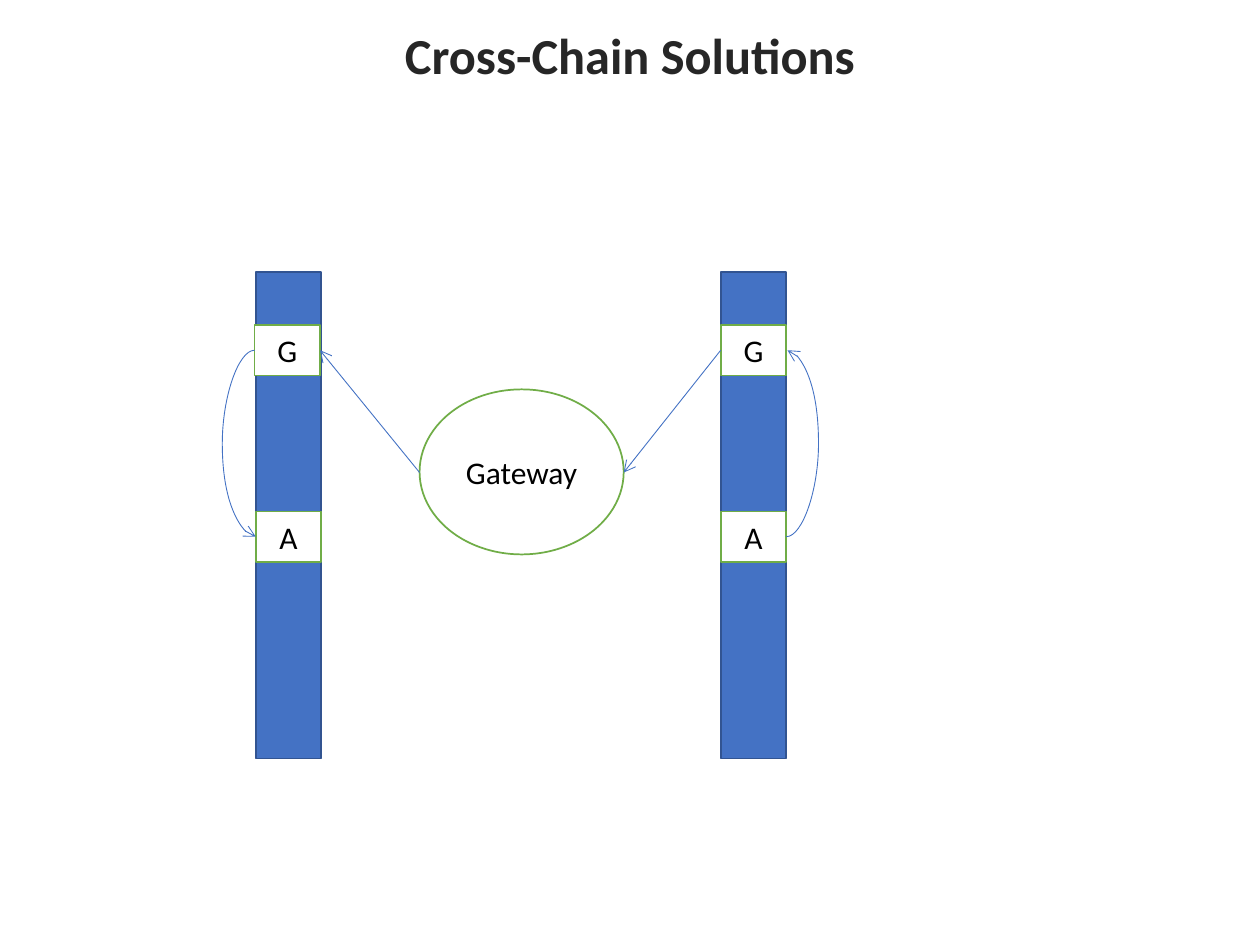
from typing import NamedTuple, Optional

from lxml import etree
from pptx import Presentation
from pptx import util as u
from pptx.dml.color import RGBColor
from pptx.enum import shapes, text
from pptx.oxml import ns

BLUE, DARK_BLUE, GREEN = "4472C4", "325491", "70AD47"
WHITE, BLACK, TITLE_GREY = "FFFFFF", "000000", "262626"
FONT = "Calibri"

BLOCK_WIDTH, BLOCK_HEIGHT = 0.52, 0.4
LEFT_CHAIN, RIGHT_CHAIN = 2.03, 5.72
GATEWAY_ROW, ACCOUNT_ROW = 2.58, 4.06
GATEWAY_MIDDLE = GATEWAY_ROW + BLOCK_HEIGHT / 2
ACCOUNT_MIDDLE = ACCOUNT_ROW + BLOCK_HEIGHT / 2


class Node(NamedTuple):
    left: float
    top: float
    width: float
    height: float
    label: str = ""
    fill: str = WHITE
    line: str = GREEN
    kind: shapes.MSO_SHAPE = shapes.MSO_SHAPE.RECTANGLE


class Arrow(NamedTuple):
    start: tuple[float, float]
    end: tuple[float, float]
    bulge: Optional[float] = None  # sideways reach of a curve from its start


def color(value: str) -> RGBColor:
    return RGBColor.from_string(value)


def write(frame, content: str, size: float, ink: str, bold: bool = False) -> None:
    frame.word_wrap = True
    frame.vertical_anchor = text.MSO_ANCHOR.MIDDLE
    para = frame.paragraphs[0]
    para.alignment = text.PP_ALIGN.CENTER
    span = para.add_run()
    span.text = content
    span.font.name = FONT
    span.font.size = u.Pt(size)
    span.font.bold = bold
    span.font.color.rgb = color(ink)


def draw_node(page, node: Node) -> None:
    box = page.shapes.add_shape(
        node.kind, *map(u.Inches, (node.left, node.top, node.width, node.height)))
    box.shadow.inherit = False
    box.fill.solid()
    box.fill.fore_color.rgb = color(node.fill)
    box.line.color.rgb = color(node.line)
    box.line.width = u.Pt(1)
    if node.label:
        write(box.text_frame, node.label, 18, BLACK)


def draw_arrow(page, arrow: Arrow) -> None:
    curved = arrow.bulge is not None
    kind = shapes.MSO_CONNECTOR.CURVE if curved else shapes.MSO_CONNECTOR.STRAIGHT
    link = page.shapes.add_connector(
        kind, *map(u.Inches, (*arrow.start, *arrow.end)))
    link.line.color.rgb = color(BLUE)
    link.line.width = u.Pt(0.5)
    properties = link._element.spPr
    etree.SubElement(properties.find(ns.qn("a:ln")), ns.qn("a:tailEnd"), type="arrow")
    etree.SubElement(properties, ns.qn("a:effectLst"))
    if curved:
        # The bend is given in 1/100000 of the connector's width
        ratio = arrow.bulge / (arrow.end[0] - arrow.start[0])
        geometry = properties.find(ns.qn("a:prstGeom"))
        guides = geometry.find(ns.qn("a:avLst"))
        if guides is None:
            guides = etree.SubElement(geometry, ns.qn("a:avLst"))
        etree.SubElement(guides, ns.qn("a:gd"), name="adj1",
                         fmla=f"val {round(ratio * 100000)}")


def main() -> None:
    deck = Presentation()
    deck.slide_width, deck.slide_height = u.Inches(10), u.Inches(7.5)
    page = deck.slides.add_slide(deck.slide_layouts[5])

    # Title
    title = page.shapes.title
    title.left, title.top, title.width, title.height = map(
        u.Inches, (0.69, 0.17, 8.62, 0.58))
    write(title.text_frame, "Cross-Chain Solutions", 28.8, TITLE_GREY, bold=True)
    title.text_frame.paragraphs[0].line_spacing = 0.9

    # Two chains, the gateway between them, and the blocks on each chain
    nodes = [Node(left, 2.16, BLOCK_WIDTH, 3.86, fill=BLUE, line=DARK_BLUE)
             for left in (LEFT_CHAIN, RIGHT_CHAIN)]
    nodes.append(Node(3.33, 3.09, 1.62, 1.31, "Gateway",
                      kind=shapes.MSO_SHAPE.OVAL))
    nodes += [Node(left, top, BLOCK_WIDTH, BLOCK_HEIGHT, label)
              for left, top, label in (
                  (LEFT_CHAIN - 0.01, GATEWAY_ROW, "G"),
                  (LEFT_CHAIN, ACCOUNT_ROW, "A"),
                  (RIGHT_CHAIN, ACCOUNT_ROW, "A"),
                  (RIGHT_CHAIN, GATEWAY_ROW, "G"))]
    for node in nodes:
        draw_node(page, node)

    # Transfers within a chain, then through the gateway
    arrows = [
        Arrow((6.24, ACCOUNT_MIDDLE), (6.25, GATEWAY_MIDDLE), bulge=0.26),
        Arrow((2.02, GATEWAY_MIDDLE), (2.03, ACCOUNT_MIDDLE), bulge=-0.26),
        Arrow((5.72, GATEWAY_MIDDLE), (4.95, 3.75)),
        Arrow((3.33, 3.75), (2.54, GATEWAY_MIDDLE)),
    ]
    for arrow in arrows:
        draw_arrow(page, arrow)

    deck.save("out.pptx")


if __name__ == "__main__":
    main()
